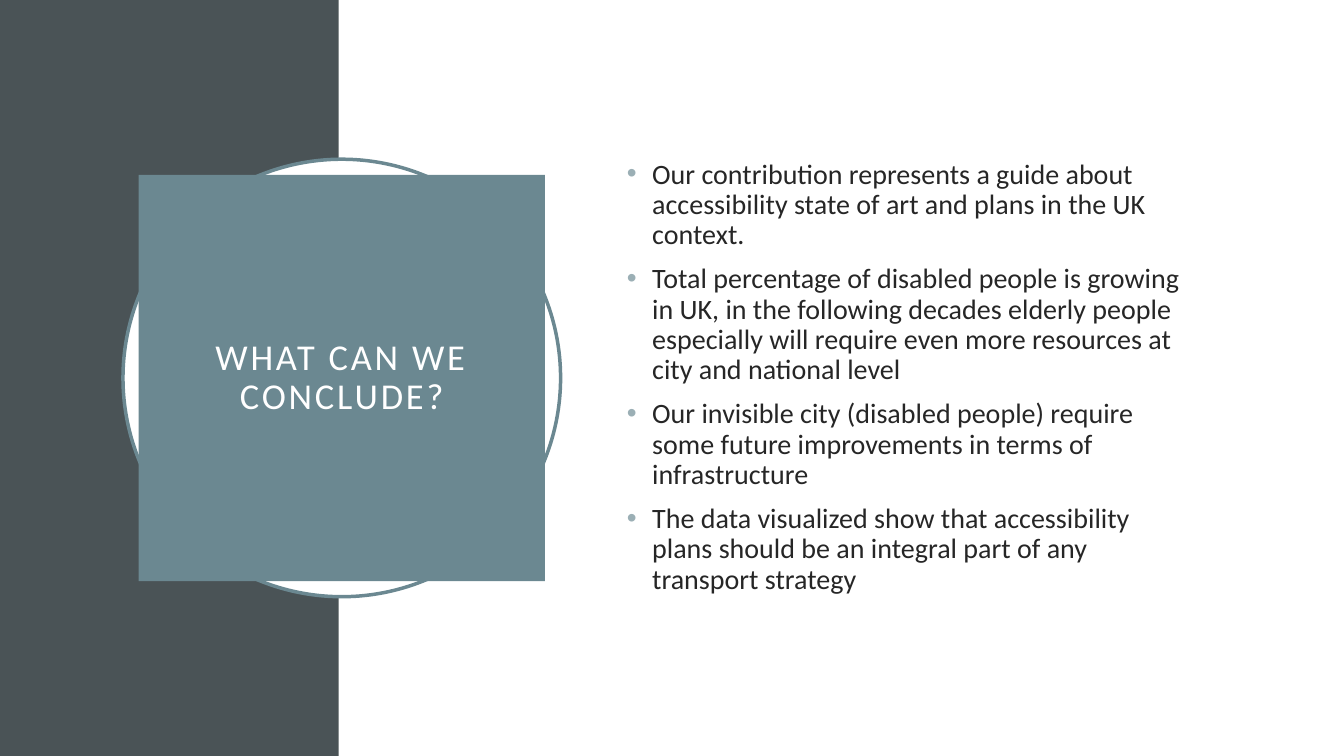
from pptx import Presentation
from pptx.dml.color import RGBColor
from pptx.enum.shapes import MSO_SHAPE as SHAPE
from pptx.enum.text import MSO_ANCHOR as ANCHOR, MSO_AUTO_SIZE as AUTO, PP_ALIGN as ALIGN
from pptx.oxml.ns import qn
from pptx.util import Inches, Pt
from lxml import etree

TITLE = "WHAT CAN WE CONCLUDE?"
POINTS = [
    "Our contribution represents a guide about accessibility state of art and plans in the UK context.",
    "Total percentage of disabled people is growing in UK, in the following decades elderly people "
    "especially will require even more resources at city and national level ",
    "Our invisible city (disabled people) require some future improvements in terms of infrastructure",
    "The data visualized show that accessibility plans should be an integral part of any transport strategy",
]
WHITE = RGBColor(0xFF, 0xFF, 0xFF)
SLATE = RGBColor(0x4A, 0x53, 0x56)
TEAL = RGBColor(0x6B, 0x88, 0x91)
BULLET = RGBColor(0x9B, 0xAF, 0xB5)
INK = RGBColor(0x26, 0x26, 0x26)
WIDTH, HEIGHT, BAND = 13.33, 7.5, 3.36
CENTER_X, CENTER_Y, CIRCLE, SQUARE = 3.39, 3.75, 4.34, 4.03


def centered(size):
    return [Inches(v) for v in (CENTER_X - size / 2, CENTER_Y - size / 2, size, size)]


def add_panel(kind, box, fill, line=None):
    s = slide.shapes.add_shape(kind, *box)
    s.shadow.inherit = False
    s.fill.solid()
    s.fill.fore_color.rgb = fill
    if line:
        s.line.color.rgb = line
        s.line.width = Pt(2.5)
    else:
        s.line.fill.background()


def add_bullet(p):
    pPr = p._p.get_or_add_pPr()
    pPr.set("marL", str(Inches(0.25)))
    pPr.set("indent", str(-Inches(0.25)))
    color = etree.SubElement(pPr, qn("a:buClr"))
    etree.SubElement(color, qn("a:srgbClr")).set("val", str(BULLET))
    etree.SubElement(pPr, qn("a:buFont")).set("typeface", "Arial")
    etree.SubElement(pPr, qn("a:buChar")).set("char", "•")


def write(p, text, size, color, align=ALIGN.LEFT, before=0, spacing=0, bullet=False):
    p.alignment = align
    p.line_spacing = 0.9
    p.space_before = Pt(before)
    r = p.add_run()
    r.text = text
    r.font.name = "Calibri"
    r.font.size = Pt(size)
    r.font.color.rgb = color
    if spacing:
        r._r.get_or_add_rPr().set("spc", str(spacing * 100))
    if bullet:
        add_bullet(p)


def prepare(tf):
    tf.word_wrap = True
    tf.auto_size = AUTO.NONE
    tf.vertical_anchor = ANCHOR.MIDDLE


prs = Presentation()
prs.slide_width, prs.slide_height = Inches(WIDTH), Inches(HEIGHT)
slide = prs.slides.add_slide(prs.slide_layouts[5])
slide.background.fill.solid()
slide.background.fill.fore_color.rgb = WHITE

add_panel(SHAPE.RECTANGLE, (0, 0, Inches(BAND), prs.slide_height), SLATE)
add_panel(SHAPE.OVAL, centered(CIRCLE), WHITE, TEAL)

title = slide.shapes.title
slide.shapes._spTree.append(title._element)
title.left, title.top, title.width, title.height = centered(SQUARE)
title.fill.solid()
title.fill.fore_color.rgb = TEAL
tf = title.text_frame
prepare(tf)
tf.margin_left = tf.margin_right = tf.margin_top = tf.margin_bottom = Inches(0.2)
write(tf.paragraphs[0], TITLE, 26, WHITE, align=ALIGN.CENTER, spacing=2)

body = slide.shapes.add_textbox(Inches(6.12), Inches(1.53), Inches(5.82), Inches(4.43))
tf = body.text_frame
prepare(tf)
for i, point in enumerate(POINTS):
    p = tf.add_paragraph() if i else tf.paragraphs[0]
    write(p, point, 20, INK, before=10, bullet=True)

prs.save("out.pptx")
